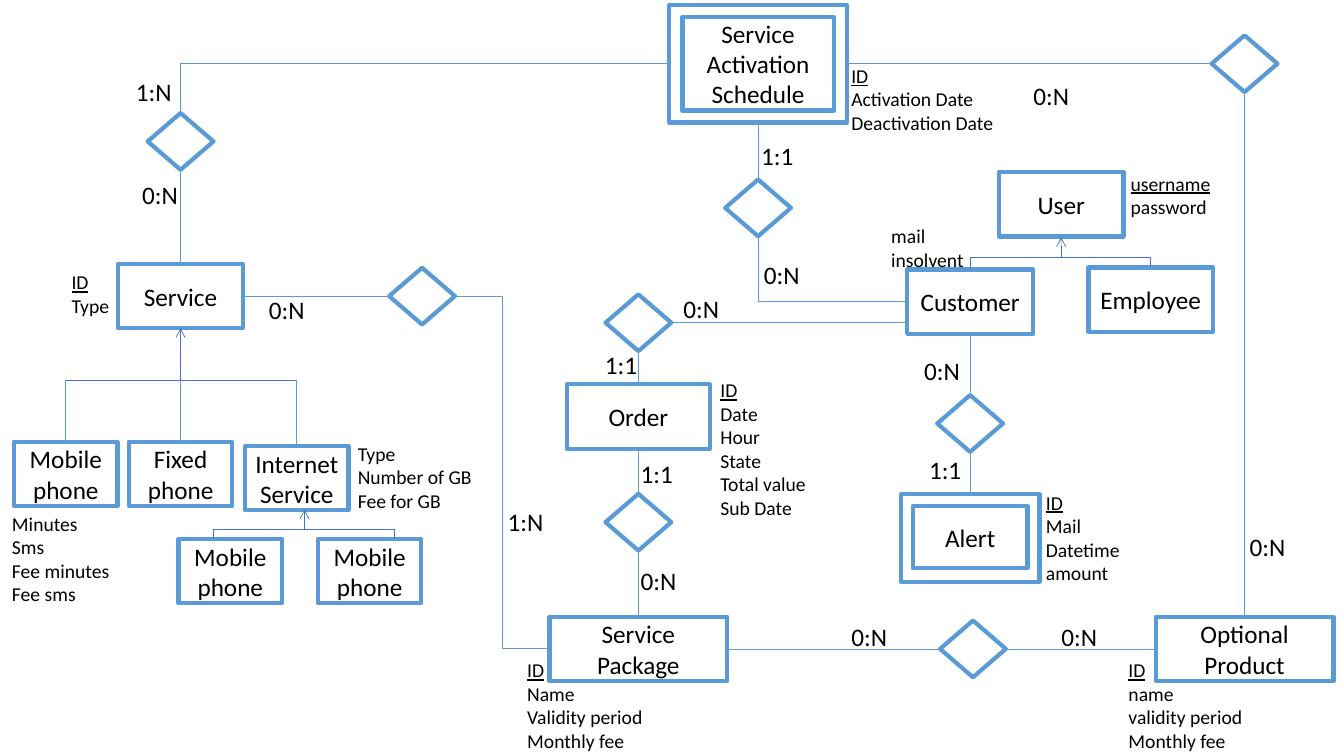
from pptx import Presentation
from pptx.dml.color import RGBColor
from pptx.enum.shapes import MSO_CONNECTOR, MSO_SHAPE
from pptx.enum.text import MSO_ANCHOR, MSO_AUTO_SIZE, PP_ALIGN
from pptx.oxml.ns import qn
from pptx.util import Pt
from lxml import etree

RECT, DIAMOND = MSO_SHAPE.RECTANGLE, MSO_SHAPE.DIAMOND
STRAIGHT, ELBOW = MSO_CONNECTOR.STRAIGHT, MSO_CONNECTOR.ELBOW
MIDDLE, FIT = MSO_ANCHOR.MIDDLE, MSO_AUTO_SIZE.SHAPE_TO_FIT_TEXT
LEFT_ALIGN, CENTER = PP_ALIGN.LEFT, PP_ALIGN.CENTER

BLUE = RGBColor(0x5B, 0x9B, 0xD5)
DARK_BLUE = RGBColor(0x44, 0x72, 0xC4)
WHITE = RGBColor(0xFF, 0xFF, 0xFF)
BLACK = RGBColor(0, 0, 0)

# Connection sites of rectangles and diamonds
TOP, LEFT, BOTTOM, RIGHT = range(4)


def write(tf, text, size=18, align=LEFT_ALIGN, key=False):
    """Write one paragraph per line; key underlines the first one."""
    for i, line in enumerate(text.split("\n")):
        p = tf.paragraphs[0] if i == 0 else tf.add_paragraph()
        p.alignment = align
        r = p.add_run()
        r.text = line
        r.font.name = "Calibri"
        r.font.size = Pt(size)
        r.font.color.rgb = BLACK
        if key and i == 0:
            r.font.underline = True


class Diagram:
    border = Pt(3)
    thin = Pt(0.5)
    diamond_w, diamond_h = 47, 40.5

    def __init__(self, slide):
        self.shapes = slide.shapes

    def outline(self, kind, x, y, w, h, filled=True):
        sp = self.shapes.add_shape(kind, Pt(x), Pt(y), Pt(w), Pt(h))
        sp.shadow.inherit = False
        if filled:
            sp.fill.solid()
            sp.fill.fore_color.rgb = WHITE
        else:
            sp.fill.background()
        sp.line.color.rgb = BLUE
        sp.line.width = self.border
        return sp

    def entity(self, text, x, y, w, h=46):
        sp = self.outline(RECT, x, y, w, h)
        tf = sp.text_frame
        tf.word_wrap = True
        tf.vertical_anchor = MIDDLE
        tf.margin_left = tf.margin_right = 0
        write(tf, text, align=CENTER)
        return sp

    def relation(self, cx, cy):
        w, h = self.diamond_w, self.diamond_h
        return self.outline(DIAMOND, cx - w / 2, cy - h / 2, w, h)

    def text(self, text, x, y, w, h, **fmt):
        tf = self.shapes.add_textbox(Pt(x), Pt(y), Pt(w), Pt(h)).text_frame
        tf.word_wrap = True
        tf.auto_size = FIT
        tf.margin_right = 0
        write(tf, text, **fmt)

    def attributes(self, text, x, y, w=124, key=True):
        lines = text.count("\n") + 1
        self.text(text, x, y, w, 7.2 + 16.9 * lines, size=14, key=key)

    def line(self, x1, y1, x2, y2, color=BLUE, kind=STRAIGHT, arrow=False):
        c = self.shapes.add_connector(kind, Pt(x1), Pt(y1), Pt(x2), Pt(y2))
        c.line.color.rgb = color
        c.line.width = self.thin
        props = c._element.spPr
        if arrow:
            etree.SubElement(props.find(qn("a:ln")), qn("a:tailEnd"), type="arrow")
        etree.SubElement(props, qn("a:effectLst"))
        return c

    def link(self, start, start_site, end, end_site, kind=STRAIGHT, corner=False):
        c = self.line(0, 0, 0, 0, kind=ELBOW if corner else kind)
        c.begin_connect(start, start_site)
        c.end_connect(end, end_site)
        if corner:
            c._element.spPr.find(qn("a:prstGeom")).set("prst", "bentConnector2")

    def hierarchy(self, x, top, bar, drops, drop_color=DARK_BLUE):
        """Arrow up to the parent, a bar, and a drop to each child."""
        self.line(x, bar, x, top, DARK_BLUE, arrow=True)
        self.line(drops[0][0], bar, drops[-1][0], bar, DARK_BLUE)
        for child_x, child_top in drops:
            self.line(child_x, bar, child_x, child_top, drop_color)


prs = Presentation()
prs.slide_width, prs.slide_height = Pt(960), Pt(540)
s = prs.slides.add_slide(prs.slide_layouts[6])
d = Diagram(s)

# Entities
package = d.entity("Service\nPackage", 392.5, 440.5, 127)
product = d.entity("Optional\nProduct", 825.5, 440.5, 127)
order = d.entity("Order", 405, 274.5, 102)
customer = d.entity("Customer", 648, 192.5, 90)
service = d.entity("Service", 84.5, 188.5, 89)
d.entity("Employee", 777.5, 191, 89)
d.entity("User", 713.5, 123, 89)
for name, x, y in [("Mobile\nphone", 10, 315.5), ("Fixed\nphone", 92, 315.5),
                   ("Internet\nService", 175, 318.5),
                   ("Mobile\nphone", 127.5, 385), ("Mobile\nphone", 227, 385)]:
    d.entity(name, x, y, 74)

# Weak entities: a box inside a second outline
d.entity("Service\nActivation\nSchedule", 487.5, 12, 108, 67)
schedule = d.outline(RECT, 478, 3.5, 127, 84, filled=False)
d.entity("Alert", 652, 361.5, 82, 44.5)
alert = d.outline(RECT, 643.5, 353, 99, 62.5, filled=False)

# Relations
schedule_service = d.relation(129, 101)
schedule_customer = d.relation(541.5, 148.5)
schedule_product = d.relation(889, 45.5)
service_package = d.relation(301.5, 211.5)
order_customer = d.relation(456, 230.5)
order_package = d.relation(456, 373)
customer_alert = d.relation(693, 302.5)
package_product = d.relation(695, 463.5)

# Links between entities and relations
for ends in [(schedule_service, BOTTOM, service, TOP),
             (schedule, BOTTOM, schedule_customer, TOP),
             (schedule, RIGHT, schedule_product, LEFT),
             (schedule_product, BOTTOM, product, TOP),
             (service, RIGHT, service_package, LEFT),
             (order_customer, BOTTOM, order, TOP),
             (order, BOTTOM, order_package, TOP),
             (order_package, BOTTOM, package, TOP),
             (customer, BOTTOM, customer_alert, TOP),
             (customer_alert, BOTTOM, alert, TOP),
             (package, RIGHT, package_product, LEFT),
             (package_product, RIGHT, product, LEFT)]:
    d.link(*ends)
d.link(service_package, RIGHT, package, LEFT, kind=ELBOW)
d.link(schedule, LEFT, schedule_service, TOP, corner=True)
d.link(customer, LEFT, schedule_customer, BOTTOM, corner=True)
d.line(479.5, 230.5, 648, 230.5)

# Hierarchies
d.hierarchy(129, 234.5, 271.5, [(47, 315.5), (129, 315.5), (212, 318.5)], BLUE)
d.hierarchy(758, 169.5, 183.5, [(693, 192.5), (822, 191)])
d.hierarchy(217.5, 364, 378, [(152.5, 385), (281.5, 385)])

# Cardinalities
CARDINALITIES = {
    "0:N": [(751, 440), (601, 440), (450.5, 400), (481, 206), (885.5, 376),
            (731, 54), (538.5, 182), (653, 250.5), (94.5, 124.5), (185, 206.5)],
    "1:1": [(450.5, 324), (425, 246), (536.5, 96.5), (656.5, 321)],
    "1:N": [(90, 51), (355.5, 358)],
}
for label, places in CARDINALITIES.items():
    for x, y in places:
        d.text(label, x, y, 40.5, 29)

# Attributes
d.attributes("ID\nName\nValidity period\nMonthly fee", 369.5, 466.5)
d.attributes("ID\nname\nvalidity period\nMonthly fee", 799, 466.5)
d.attributes("ID\nActivation Date\nDeactivation Date", 601, 42)
d.attributes("ID\nDate\nHour\nState\nTotal value\nSub Date", 507.5, 266.5)
d.attributes("ID\nMail\nDatetime\namount", 740, 347)
d.attributes("ID\nType", 44, 189.5, w=40)
d.attributes("username\npassword", 800.5, 119, w=79)
d.attributes("mail\ninsolvent", 629.5, 156.5, w=79, key=False)
d.attributes("Type\nNumber of GB\nFee for GB", 248.5, 312, key=False)
d.attributes("Minutes\nSms\nFee minutes\nFee sms", 1.5, 362, key=False)

prs.save("out.pptx")
